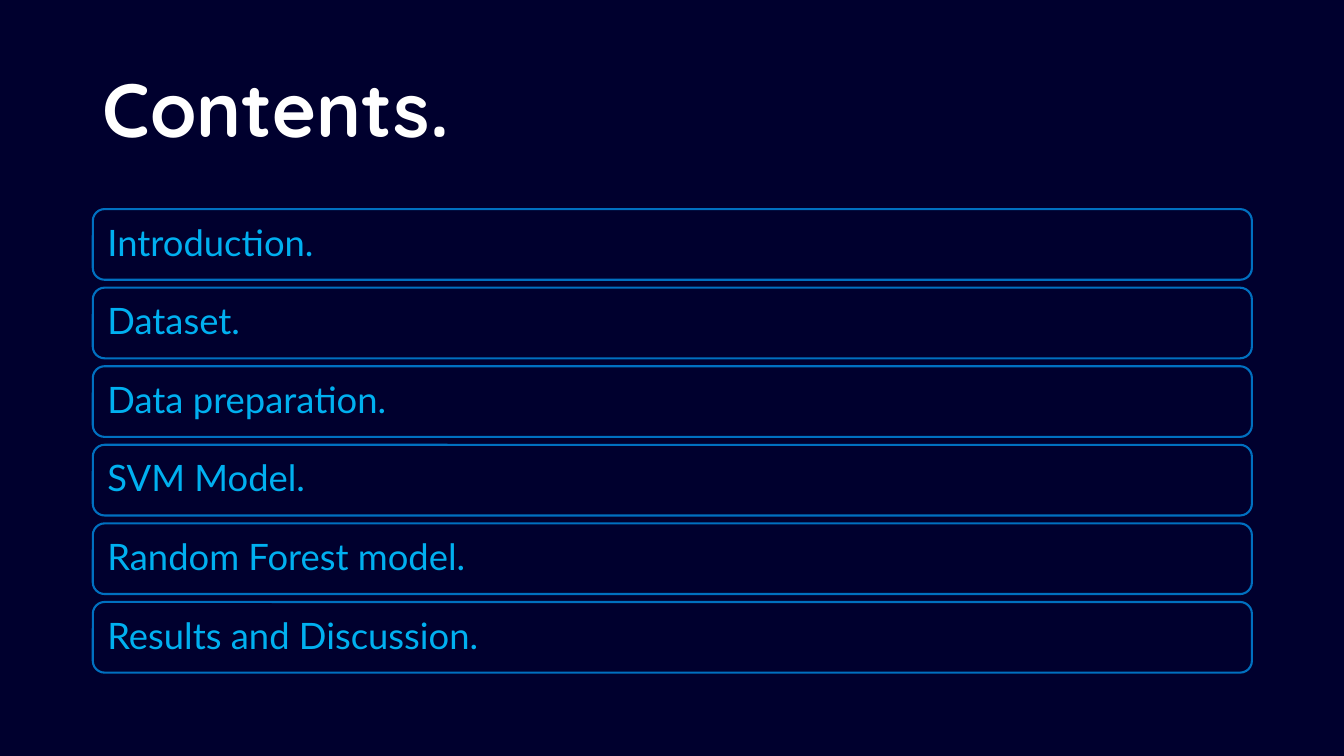
from dataclasses import dataclass

import pptx
import pptx.dml.color
import pptx.enum.shapes
import pptx.enum.text
import pptx.util
from pptx.util import Cm


@dataclass(frozen=True)
class Theme:
    background: str = "00002E"
    title_color: str = "FFFFFF"
    title_font: str = "Quicksand"
    title_size: float = 54
    item_color: str = "00B0F0"
    item_font: str = "Lato"
    item_size: float = 26
    outline: str = "0070C0"
    outline_width: float = 1.5


@dataclass(frozen=True)
class ContentsItem:
    text: str
    row: int


THEME = Theme()
TITLES = ("Introduction.", "Dataset.", "Data preparation.", "SVM Model.",
          "Random Forest model.", "Results and Discussion.")
ITEMS = [ContentsItem(text, row) for row, text in enumerate(TITLES)]

# Layout, in centimetres
LEFT, WIDTH = 2.34, 29.21
TITLE_TOP, TITLE_HEIGHT = 1.02, 3.68
FIRST_TOP, ROW_PITCH, ROW_HEIGHT = 5.27, 1.98, 1.78
ITEM_INSET = 0.28


def rgb(value: str) -> pptx.dml.color.RGBColor:
    return pptx.dml.color.RGBColor.from_string(value)


def write_text(shape, text: str, *, font: str, size: float, color: str,
               bold: bool = False) -> None:
    """Write one left-aligned, vertically centred paragraph."""
    frame = shape.text_frame
    frame.word_wrap = True
    frame.auto_size = pptx.enum.text.MSO_AUTO_SIZE.NONE
    frame.vertical_anchor = pptx.enum.text.MSO_ANCHOR.MIDDLE
    frame.text = text
    paragraph = frame.paragraphs[0]
    paragraph.alignment = pptx.enum.text.PP_ALIGN.LEFT
    paragraph.line_spacing = 0.9
    paragraph.font.name = font
    paragraph.font.size = pptx.util.Pt(size)
    paragraph.font.bold = bold
    paragraph.font.color.rgb = rgb(color)


def draw_title(slide, text: str) -> None:
    title = slide.shapes.title
    title.left, title.top = Cm(LEFT), Cm(TITLE_TOP)
    title.width, title.height = Cm(WIDTH), Cm(TITLE_HEIGHT)
    write_text(title, text, font=THEME.title_font, size=THEME.title_size,
               color=THEME.title_color, bold=True)


def draw_item(slide, item: ContentsItem) -> None:
    shape = slide.shapes.add_shape(
        pptx.enum.shapes.MSO_SHAPE.ROUNDED_RECTANGLE,
        Cm(LEFT), Cm(FIRST_TOP + item.row * ROW_PITCH), Cm(WIDTH), Cm(ROW_HEIGHT))
    shape.shadow.inherit = False
    shape.fill.background()
    shape.line.color.rgb = rgb(THEME.outline)
    shape.line.width = pptx.util.Pt(THEME.outline_width)
    frame = shape.text_frame
    frame.margin_left = frame.margin_right = Cm(ITEM_INSET)
    frame.margin_top = frame.margin_bottom = Cm(ITEM_INSET)
    write_text(shape, item.text, font=THEME.item_font, size=THEME.item_size,
               color=THEME.item_color)


def main() -> None:
    # Slide and background
    presentation = pptx.Presentation()
    presentation.slide_width, presentation.slide_height = Cm(33.87), Cm(19.05)
    title_only = presentation.slide_layouts[5]
    slide = presentation.slides.add_slide(title_only)
    slide.background.fill.solid()
    slide.background.fill.fore_color.rgb = rgb(THEME.background)

    # Title and contents rows
    draw_title(slide, "Contents.")
    for item in ITEMS:
        draw_item(slide, item)

    presentation.save("out.pptx")


if __name__ == "__main__":
    main()
